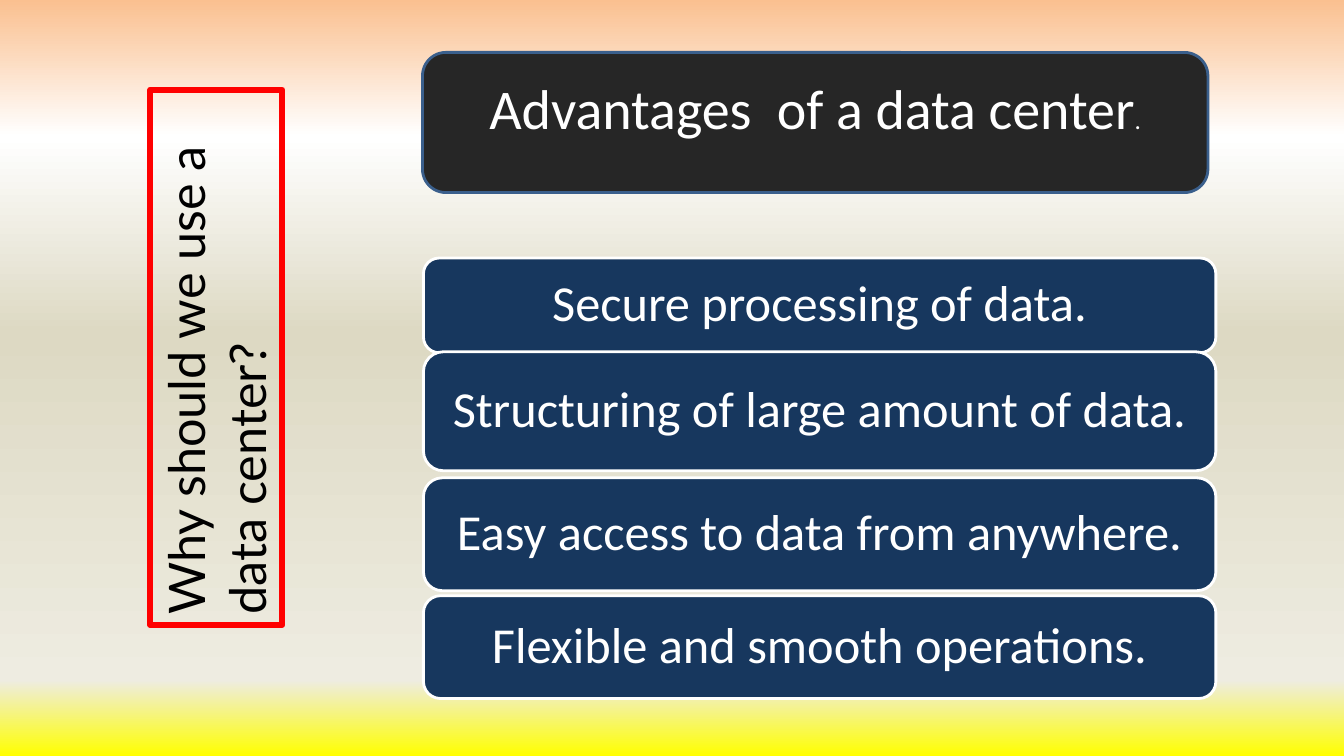
"""Build a slide on why a data center is used and the advantages it brings."""
import pptx
import pptx.dml.color
import pptx.enum.shapes
import pptx.enum.text
import pptx.oxml
import pptx.oxml.ns
import pptx.util
from pptx.util import Inches

COLORS = {"navy": "17375E", "charcoal": "262626", "steel": "3A5F8C",
          "white": "FFFFFF", "red": "FF0000", "black": "000000"}
BACKGROUND_STOPS = [(0, "FAC090"), (18, "FFFFFF"), (44, "DDD9C3"),
                    (90, "EEECE1"), (100, "FFFF00")]
ADVANTAGES = [
    ("Secure processing of data.", 2.56, 0.94),
    ("Structuring of large amount of data.", 3.49, 1.18),
    ("Easy access to data from anywhere.", 4.74, 1.12),
    ("Flexible and smooth operations.", 5.91, 1.02),
]


def color(name):
    return pptx.dml.color.RGBColor.from_string(COLORS[name])


def add_card(left, top, width, height, fill, line):
    card = slide.shapes.add_shape(
        pptx.enum.shapes.MSO_SHAPE.ROUNDED_RECTANGLE,
        Inches(left), Inches(top), Inches(width), Inches(height))
    card.shadow.inherit = False
    card.fill.solid()
    card.fill.fore_color.rgb = color(fill)
    card.line.color.rgb = color(line)
    card.line.width = pptx.util.Pt(2)
    card.text_frame.word_wrap = True
    card.text_frame.vertical_anchor = pptx.enum.text.MSO_ANCHOR.MIDDLE
    paragraph = card.text_frame.paragraphs[0]
    paragraph.alignment = pptx.enum.text.PP_ALIGN.CENTER
    paragraph.font.name = "Calibri"
    paragraph.font.color.rgb = color("white")
    return card.text_frame, paragraph


deck = pptx.Presentation()
deck.slide_width = Inches(13.33)
deck.slide_height = Inches(7.5)
slide = deck.slides.add_slide(deck.slide_layouts[5])

background = slide.background.fill
background.gradient()
background.gradient_angle = 270
stop_list = slide.element.find(".//" + pptx.oxml.ns.qn("a:gsLst"))
for default_stop in list(stop_list):
    stop_list.remove(default_stop)
for percent, stop_color in BACKGROUND_STOPS:
    stop_list.append(pptx.oxml.parse_xml(
        f'<a:gs {pptx.oxml.ns.nsdecls("a")} pos="{percent * 1000}">'
        f'<a:srgbClr val="{stop_color}"/></a:gs>'))

for advantage, top, height in ADVANTAGES:
    frame, paragraph = add_card(4.2, top, 7.86, height, "navy", "white")
    frame.margin_left = frame.margin_right = Inches(0.15)
    paragraph.text = advantage
    paragraph.line_spacing = 0.9
    paragraph.font.size = pptx.util.Pt(36)

heading_frame, heading = add_card(4.19, 0.52, 7.79, 1.39, "charcoal", "steel")
heading_frame.margin_bottom = Inches(0.35)
for words, size in [("Advantages  of a data center", 40), (".", 18)]:
    run = heading.add_run()
    run.text = words
    run.font.size = pptx.util.Pt(size)

question = slide.shapes.title
question.left, question.top = Inches(-0.51), Inches(2.89)
question.width, question.height = Inches(5.31), Inches(1.31)
question.rotation = 270
question.line.color.rgb = color("red")
question.line.width = pptx.util.Pt(4.25)
question.text_frame.text = "Why should we use a data center?"
question.text_frame.word_wrap = True
question.text_frame.auto_size = pptx.enum.text.MSO_AUTO_SIZE.NONE
question.text_frame.vertical_anchor = pptx.enum.text.MSO_ANCHOR.TOP
question_line = question.text_frame.paragraphs[0]
question_line.alignment = pptx.enum.text.PP_ALIGN.LEFT
question_line.font.name = "Lato"
question_line.font.size = pptx.util.Pt(36)
question_line.font.color.rgb = color("black")

deck.save("out.pptx")
